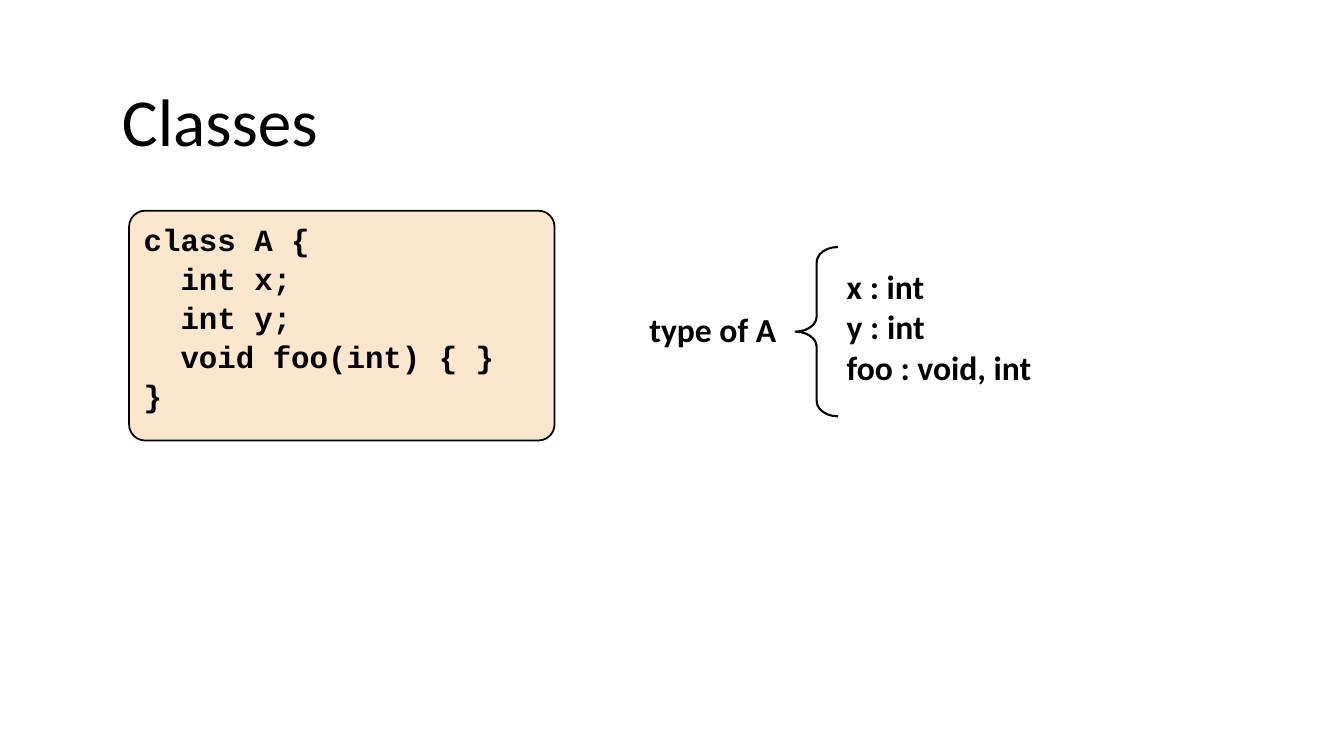
from dataclasses import dataclass

import pptx
import pptx.dml.color
import pptx.enum.shapes
import pptx.enum.text
import pptx.util

Inches = pptx.util.Inches
Pt = pptx.util.Pt
Align = pptx.enum.text.PP_ALIGN
Anchor = pptx.enum.text.MSO_ANCHOR
ShapeKind = pptx.enum.shapes.MSO_SHAPE

BLACK = pptx.dml.color.RGBColor(0x00, 0x00, 0x00)
CREAM = pptx.dml.color.RGBColor(0xFB, 0xE6, 0xCE)


@dataclass
class Bounds:
    left: float
    top: float
    width: float
    height: float

    def lengths(self) -> list:
        return [Inches(n) for n in (self.left, self.top, self.width, self.height)]


@dataclass
class TextStyle:
    font: str
    size: float
    bold: bool = True
    align: Align = Align.LEFT
    anchor: Anchor = Anchor.TOP
    space_before: float = 0


@dataclass
class Label:
    bounds: Bounds
    lines: list[str]
    style: TextStyle


def write_lines(shape, lines: list[str], style: TextStyle) -> None:
    frame = shape.text_frame
    frame.word_wrap = True
    frame.vertical_anchor = style.anchor
    frame.text = "\n".join(lines)
    for para in frame.paragraphs:
        para.alignment = style.align
        para.space_before = Pt(style.space_before)
        para.font.name = style.font
        para.font.size = Pt(style.size)
        para.font.bold = style.bold
        para.font.color.rgb = BLACK


def add_outlined(page, kind: ShapeKind, bounds: Bounds, line_width: float):
    shape = page.shapes.add_shape(kind, *bounds.lengths())
    shape.shadow.inherit = False
    shape.fill.background()
    shape.line.color.rgb = BLACK
    shape.line.width = Pt(line_width)
    return shape


def add_label(page, label: Label) -> None:
    box = page.shapes.add_textbox(*label.bounds.lengths())
    write_lines(box, label.lines, label.style)


TITLE_STYLE = TextStyle("Calibri", 48, bold=False, anchor=Anchor.MIDDLE)
CODE_STYLE = TextStyle("Courier New", 22, space_before=1.5)
CODE_LINES = ["class A {", "  int x;", "  int y;", "  void foo(int) { }", "}"]
LABELS = [
    Label(Bounds(8.3, 2.59, 2.56, 1.31),
          ["x : int", "y : int", "foo : void, int"],
          TextStyle("Calibri", 24)),
    Label(Bounds(5.79, 3.02, 2.56, 0.5),
          ["type of A"],
          TextStyle("Calibri", 24, align=Align.CENTER)),
]


def main() -> None:
    deck = pptx.Presentation()
    deck.slide_width = Inches(13.33)
    deck.slide_height = Inches(7.5)
    page = deck.slides.add_slide(deck.slide_layouts.get_by_name("Title Only"))

    # Title
    title = page.shapes.title
    title.left, title.top, title.width, title.height = Bounds(
        1.11, 0.73, 11.09, 0.91).lengths()
    write_lines(title, ["Classes"], TITLE_STYLE)

    # Class source code
    code = add_outlined(page, ShapeKind.ROUNDED_RECTANGLE,
                        Bounds(1.28, 2.09, 4.22, 2.28), 1.25)
    code.adjustments[0] = 0.07
    code.fill.solid()
    code.fill.fore_color.rgb = CREAM
    write_lines(code, CODE_LINES, CODE_STYLE)

    # Type of the class: brace, members and caption
    brace = add_outlined(page, ShapeKind.RIGHT_BRACE,
                         Bounds(7.89, 2.45, 0.42, 1.68), 1.5)
    brace.rotation = 180
    brace.adjustments[0] = 0.36
    for label in LABELS:
        add_label(page, label)

    deck.save("out.pptx")


if __name__ == "__main__":
    main()
